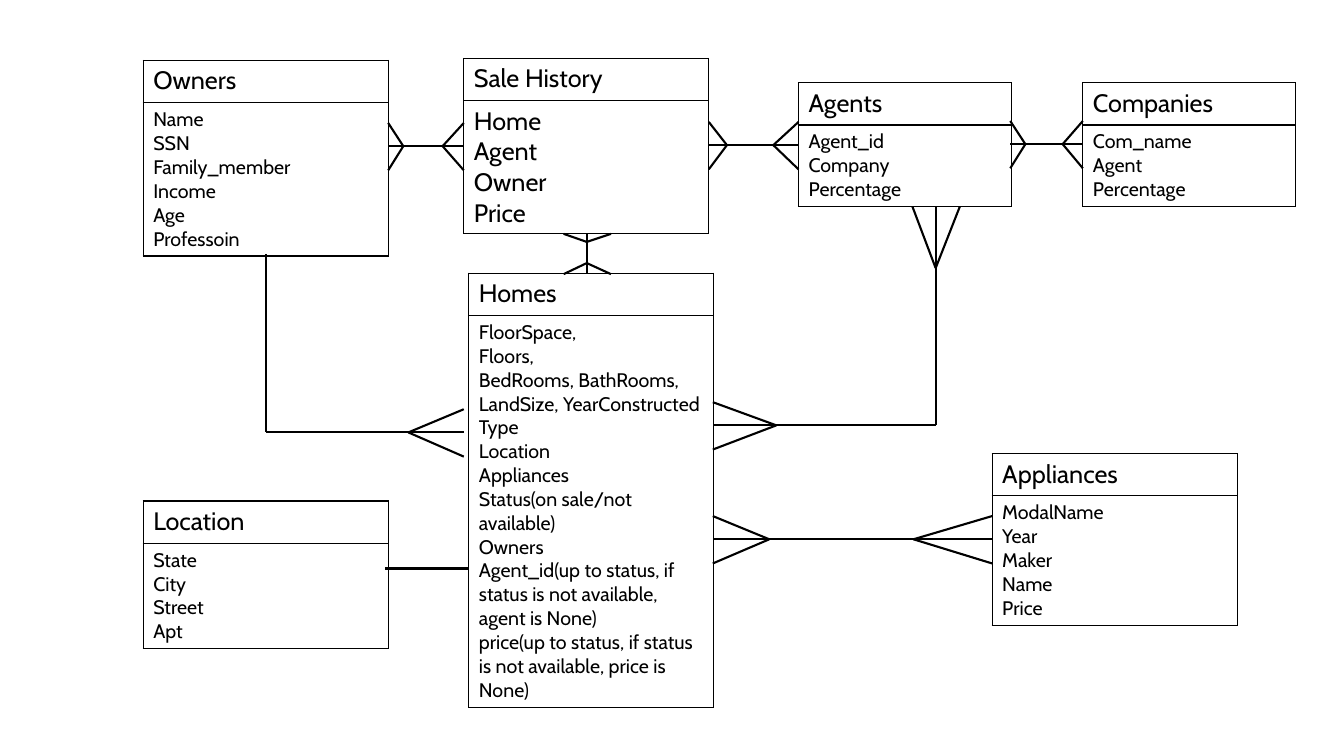
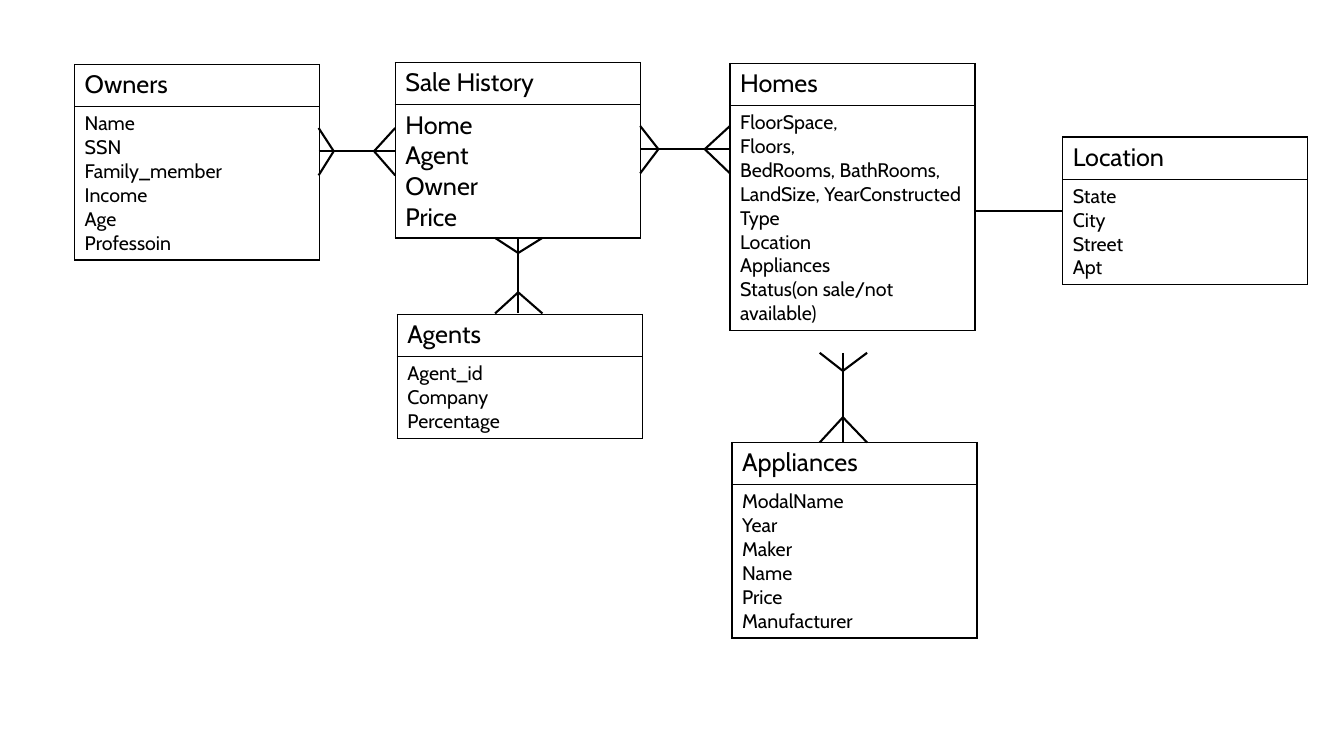
import math

import pptx
import pptx.dml.color
import pptx.enum.shapes
import pptx.util
from lxml import etree
from pptx.oxml.ns import qn

Inches, Pt = pptx.util.Inches, pptx.util.Pt

COLORS = {"ink": "000000", "paper": "FFFFFF"}
FONT = "Cabin"
TITLE_SIZE, FIELD_SIZE = 18, 14
FIELD_SIZES = {"Sale History": 18}
ROW_HEIGHTS = (0.42, 0.74)
WIDE, NARROW = 2.43, 2.11
BORDER, LINK = 1, 1.5
FOOT_SPREAD = (-0.23, 0.24)

HOME_FIELDS = [
    "FloorSpace,", "Floors,", "BedRooms, BathRooms, LandSize, YearConstructed",
    "Type", "Location", "Appliances", "Status(on sale/not available)",
]
FIELDS = {
    "Sale History": ["Home", "Agent", "Owner", "Price"],
    "Homes": HOME_FIELDS,
    "Location": ["State", "City", "Street", "Apt"],
    "Appliances": ["ModalName", "Year", "Maker", "Name", "Price"],
    "Agents": ["Agent_id", "Company", "Percentage"],
    "Owners": ["Name", "SSN", "Family_member", "Income", "Age", "Professoin"],
    "Companies": ["Com_name", "Agent", "Percentage"],
}

# tables: entity, left, top, width; extra: fields added to an entity on that slide
# links: points of the route, then crow's foot depth at its start and end (0 = none)
DIAGRAMS = [
    {
        "tables": [
            ("Sale History", 4.6, 0.58, WIDE),
            ("Homes", 4.65, 2.71, WIDE),
            ("Location", 1.42, 4.97, WIDE),
            ("Appliances", 9.84, 4.5, WIDE),
            ("Agents", 7.92, 0.82, NARROW),
            ("Owners", 1.42, 0.6, WIDE),
            ("Companies", 10.74, 0.82, NARROW),
        ],
        "extra": {
            "Homes": [
                "Owners",
                "Agent_id(up to status, if status is not available, agent is None)",
                "price(up to status, if status is not available, price is None)",
            ],
        },
        "links": [
            ([(7.03, 1.44), (7.92, 1.44)], 0.18, 0.25),
            ([(3.85, 1.45), (4.6, 1.45)], 0.15, 0.21),
            ([(10.02, 1.43), (10.74, 1.43)], 0.15, 0.2),
            ([(5.82, 2.32), (5.82, 2.72)], 0.08, 0.11),
            ([(7.07, 5.35), (9.84, 5.35)], 0.56, 0.78),
            ([(9.28, 2.05), (9.28, 4.22), (7.07, 4.22)], 0.61, 0.63),
            ([(2.64, 2.52), (2.64, 4.29), (4.6, 4.29)], 0, 0.55),
            ([(3.82, 5.64), (4.65, 5.64)], 0, 0),
        ],
    },
    {
        "tables": [
            ("Sale History", 3.92, 0.62, WIDE),
            ("Homes", 7.24, 0.63, WIDE),
            ("Location", 10.54, 1.36, WIDE),
            ("Appliances", 7.26, 4.39, WIDE),
            ("Agents", 3.94, 3.12, WIDE),
            ("Owners", 0.74, 0.64, WIDE),
        ],
        "extra": {"Appliances": ["Manufacturer"]},
        "links": [
            ([(6.35, 1.48), (7.24, 1.48)], 0.18, 0.25),
            ([(3.16, 1.5), (3.92, 1.5)], 0.15, 0.21),
            ([(5.14, 2.36), (5.14, 3.11)], 0.15, 0.21),
            ([(8.36, 3.5), (8.36, 4.39)], 0.18, 0.25),
            ([(9.66, 2.09), (10.54, 2.09)], 0, 0),
        ],
    },
]


def rgb(name):
    return pptx.dml.color.RGBColor.from_string(COLORS[name])


def add_borders(cell):
    tcPr = cell._tc.get_or_add_tcPr()
    for side in ("lnL", "lnR", "lnT", "lnB"):
        ln = etree.SubElement(tcPr, qn("a:" + side), w=str(Pt(BORDER)))
        fill = etree.SubElement(ln, qn("a:solidFill"))
        etree.SubElement(fill, qn("a:srgbClr"), val=COLORS["ink"])


def fill_cell(cell, lines, size):
    add_borders(cell)
    cell.fill.background()
    tf = cell.text_frame
    for i, line in enumerate(lines):
        p = tf.paragraphs[0] if i == 0 else tf.add_paragraph()
        r = p.add_run()
        r.text = line
        r.font.name = FONT
        r.font.size = Pt(size)
        r.font.bold = False
        r.font.color.rgb = rgb("ink")


def add_entity(slide, name, left, top, width, extra):
    frame = slide.shapes.add_table(2, 1, Inches(left), Inches(top),
                                   Inches(width), Inches(sum(ROW_HEIGHTS)))
    table = frame.table
    table.first_row = table.horz_banding = False
    for row, height in zip(table.rows, ROW_HEIGHTS):
        row.height = Inches(height)
    fill_cell(table.cell(0, 0), [name], TITLE_SIZE)
    fill_cell(table.cell(1, 0), FIELDS[name] + extra,
              FIELD_SIZES.get(name, FIELD_SIZE))


def add_line(shapes, start, end):
    line = shapes.add_connector(pptx.enum.shapes.MSO_CONNECTOR.STRAIGHT,
                                *(Inches(v) for v in (*start, *end)))
    line.line.color.rgb = rgb("ink")
    line.line.width = Pt(LINK)
    etree.SubElement(line._element.spPr, qn("a:effectLst"))


def add_foot(shapes, end, toward, depth):
    """Spread two prongs at end from a tip lying depth along the route."""
    length = math.dist(end, toward)
    dx, dy = ((b - a) / length for a, b in zip(end, toward))
    tip = (end[0] + dx * depth, end[1] + dy * depth)
    for offset in FOOT_SPREAD:
        add_line(shapes, tip, (end[0] + abs(dy) * offset, end[1] + abs(dx) * offset))


def add_link(slide, points, start_depth, end_depth):
    shapes = slide.shapes
    if start_depth or end_depth:
        shapes = shapes.add_group_shape().shapes
    for start, end in zip(points, points[1:]):
        add_line(shapes, start, end)
    if start_depth:
        add_foot(shapes, points[0], points[1], start_depth)
    if end_depth:
        add_foot(shapes, points[-1], points[-2], end_depth)


def main():
    prs = pptx.Presentation()
    prs.slide_width, prs.slide_height = Inches(13.33), Inches(7.5)
    background = prs.slide_master.background.fill
    background.solid()
    background.fore_color.rgb = rgb("paper")
    for diagram in DIAGRAMS:
        slide = prs.slides.add_slide(prs.slide_layouts[6])
        for name, left, top, width in diagram["tables"]:
            add_entity(slide, name, left, top, width, diagram["extra"].get(name, []))
        for link in diagram["links"]:
            add_link(slide, *link)
    prs.save("out.pptx")


if __name__ == "__main__":
    main()
